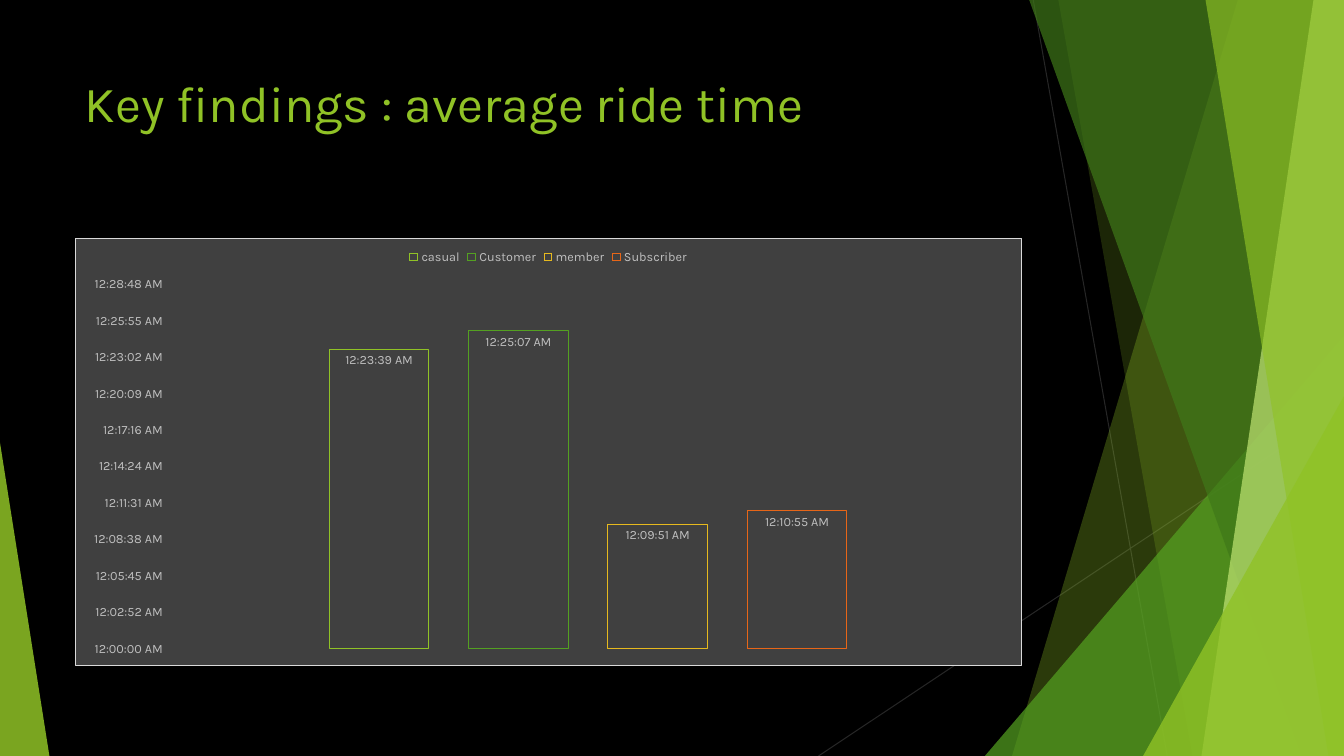
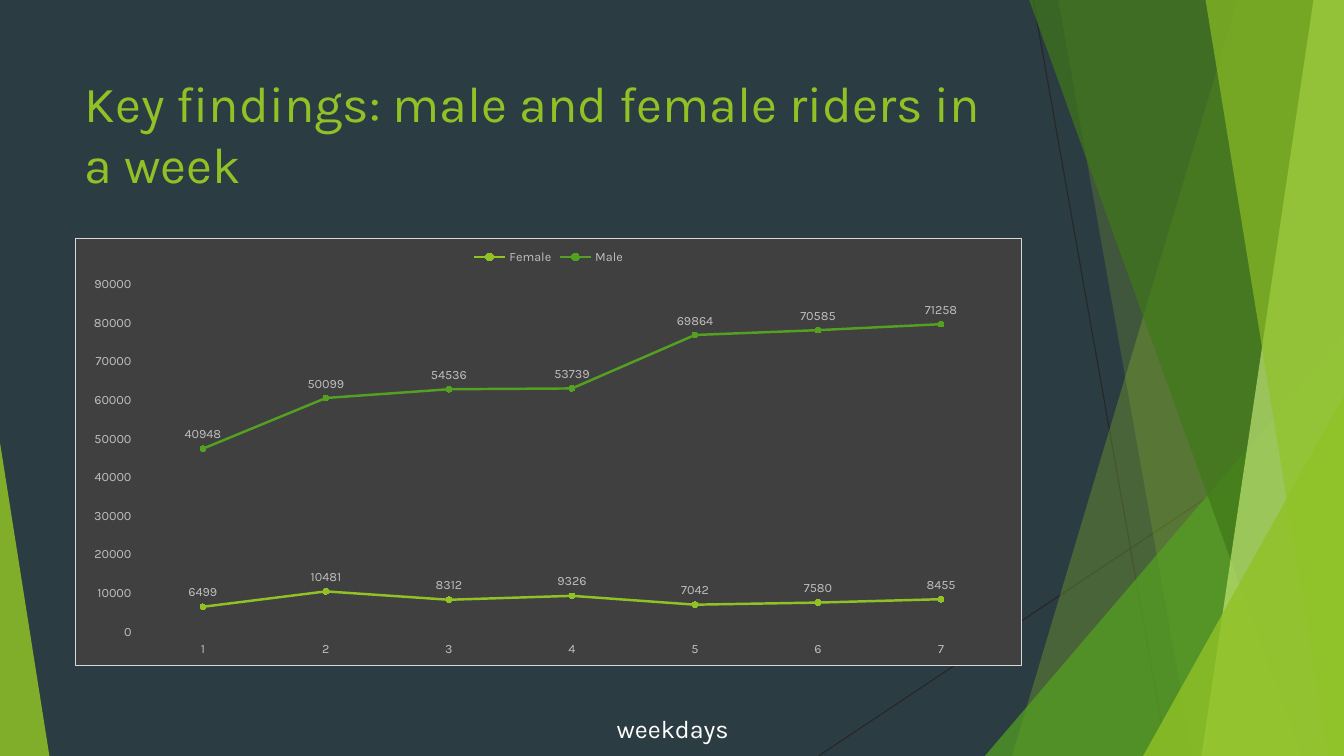
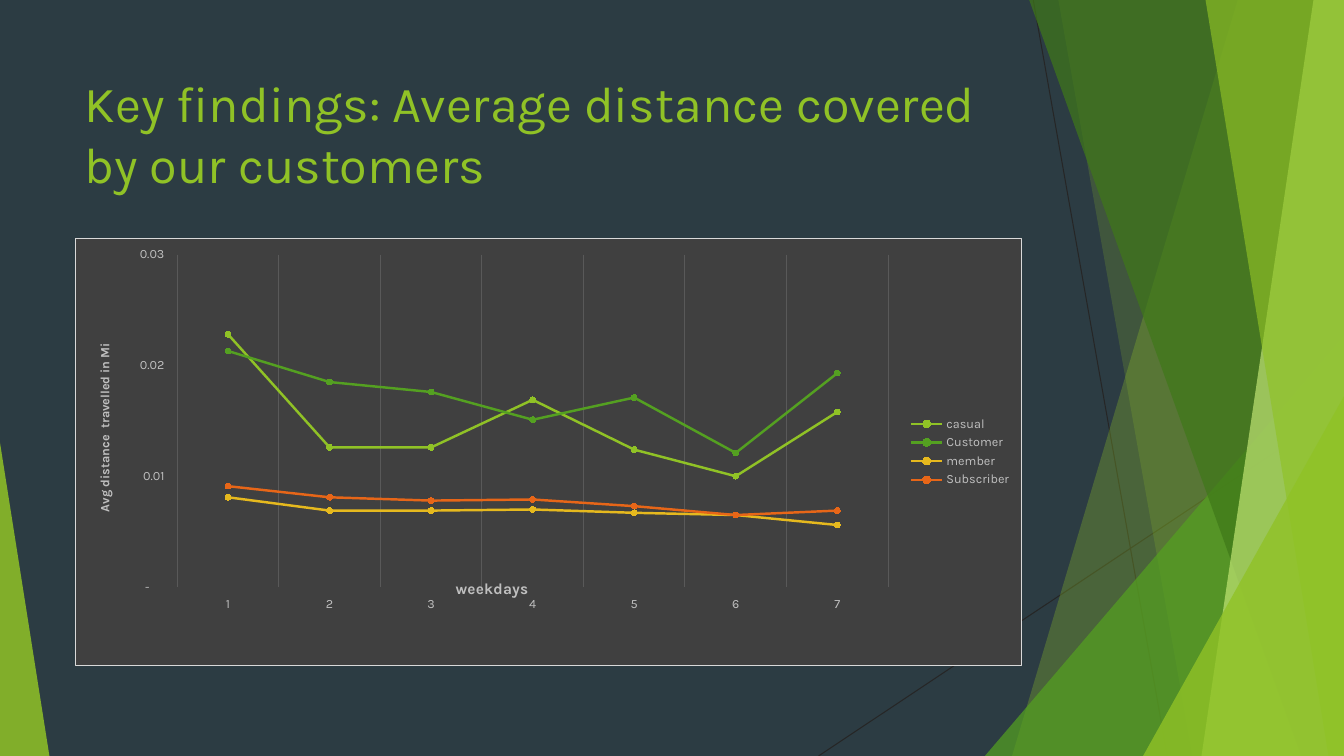
from lxml.etree import SubElement as Sub
from pptx import Presentation
from pptx.chart.data import CategoryChartData as Data
from pptx.dml.color import RGBColor as Rgb
from pptx.enum.chart import XL_CHART_TYPE as Kind
from pptx.enum.chart import XL_LABEL_POSITION as Spot
from pptx.enum.chart import XL_LEGEND_POSITION as Side
from pptx.enum.chart import XL_MARKER_STYLE as Mark
from pptx.enum.chart import XL_TICK_MARK as Tick
from pptx.enum.shapes import MSO_CONNECTOR as Link
from pptx.enum.shapes import MSO_SHAPE as Form
from pptx.enum.text import MSO_ANCHOR as Anchor
from pptx.enum.text import MSO_AUTO_SIZE as Fit
from pptx.enum.text import PP_ALIGN as Align
from pptx.oxml import parse_xml as read
from pptx.oxml.ns import nsdecls, qn
from pptx.util import Inches, Pt

HUES = {
    "black": "000000", "slate": "2C3C43", "white": "FFFFFF",
    "lime": "90C226", "green": "54A021", "gold": "E6B91E", "rust": "E76618",
    "pale": "C0E474", "mint": "94DE61", "sand": "F0D578", "peach": "F1A374",
    "moss": "3F7819", "ink": "262626", "panel": "404040", "grid": "595959",
    "text": "BFBFBF", "edge": "D9D9D9",
}
LINES = ["lime", "green", "gold", "rust"]
DOTS = ["pale", "mint", "sand", "peach"]
FONT = "Karla"
CLOCK = r"[$-F400]h:mm:ss\ AM/PM"
MILES = r'_(* #,##0.00_);_(* \(#,##0.00\);_(* "-"??_);_(@_)'
FRAME = (5.55, 31.47, 70.5, 56.6)
DAYS = [str(day) for day in range(1, 8)]


def put(item, **vals):
    """Set each named value on an item."""
    for name, val in vals.items():
        setattr(item, name, val)


def rgb(hue):
    """Look up a colour by name."""
    return Rgb.from_string(HUES[hue])


def ink(font, size, hue, bold=False):
    """Style a font."""
    put(font, name=FONT, size=Pt(size), bold=bold)
    font.color.rgb = rgb(hue)


def paint(fill, hue):
    """Give a fill one solid colour."""
    fill.solid()
    fill.fore_color.rgb = rgb(hue)


def draw(line, hue, width=0.75):
    """Style an outline."""
    paint(line.fill, hue)
    line.width = Pt(width)


def pin(node, spot, inner=False):
    """Place a chart part by percent of the chart's size."""
    old = node.find(qn("c:layout"))
    if old is None:
        old = read(f"<c:layout {nsdecls('c')}/>")
        text = node.find(qn("c:tx"))
        if text is None:
            node.insert(0, old)
        else:
            text.addnext(old)
    box = Sub(old, qn("c:manualLayout"))
    if inner:
        Sub(box, qn("c:layoutTarget")).set("val", "inner")
    for key in "xy":
        Sub(box, qn(f"c:{key}Mode")).set("val", "edge")
    for key, val in zip("xywh", spot):
        Sub(box, qn(f"c:{key}")).set("val", f"{val / 100:.4f}")


class Deck:
    """Holds the shared style and the current slide; lengths are percents."""

    def __init__(self):
        """Start a wide deck."""
        self.prs = Presentation()
        put(self.prs, slide_width=Inches(13.333), slide_height=Inches(7.5))
        self.base = self.prs.slide_layouts[5]
        self.page = None

    def at(self, *vals):
        """Turn percents, across and down by turns, into lengths."""
        sizes = (self.prs.slide_width, self.prs.slide_height)
        return [round(sizes[i % 2] * val / 100) for i, val in enumerate(vals)]

    def open(self, title, back):
        """Add a slide with its title."""
        first = self.page is None
        self.page = self.prs.slides.add_slide(self.base)
        if first:
            self.art()
        paint(self.page.background.fill, back)
        head = self.page.shapes.title
        left, top, width, height = self.at(5.55, 8.93, 70.5, 19.2)
        put(head, left=left, top=top, width=width, height=height)
        frame = head.text_frame
        put(frame, text=title, vertical_anchor=Anchor.TOP, word_wrap=True,
            auto_size=Fit.NONE)
        frame.paragraphs[0].alignment = Align.LEFT
        ink(frame.paragraphs[0].runs[0].font, 36, "lime")

    def tint(self, shape, hue, alpha):
        """Fill a shape with a see-through colour."""
        shape.shadow.inherit = False
        paint(shape.fill, hue)
        shape.line.fill.background()
        color = shape.element.spPr.find(f"{qn('a:solidFill')}/{qn('a:srgbClr')}")
        Sub(color, qn("a:alpha")).set("val", str(alpha * 1000))

    def ray(self, group, *ends):
        """Draw a thin line."""
        line = group.shapes.add_connector(Link.STRAIGHT, *self.at(*ends))
        draw(line.line, "ink")
        Sub(line.element.spPr, qn("a:effectLst"))

    def band(self, group, top, foot, hue, alpha):
        """Draw a band from a slanted edge to the right side."""
        pts = [(top, 0), (100, 0), (100, 100), (foot, 100)]
        pen = group.shapes.build_freeform(*self.at(*pts[0]))
        pen.add_line_segments([self.at(*pt) for pt in pts[1:]])
        self.tint(pen.convert_to_shape(), hue, alpha)

    def wedge(self, group, left, top, width, tip, hue, alpha):
        """Draw a triangle that stands on the slide's foot."""
        box = self.at(left, top, width, 100 - top)
        shape = group.shapes.add_shape(Form.ISOSCELES_TRIANGLE, *box)
        shape.adjustments[0] = tip
        self.tint(shape, hue, alpha)

    def art(self):
        """Draw the facets once and hand them to the layout."""
        group = self.page.shapes.add_group_shape()
        self.ray(group, 76.88, 0, 86.85, 100)
        self.ray(group, 100, 53.73, 60.9, 100)
        self.band(group, 92.1, 75.3, "lime", 30)
        self.band(group, 78.75, 88.73, "lime", 20)
        self.wedge(group, 73.28, 44.4, 26.72, 1, "green", 72)
        self.band(group, 76.58, 96.83, "moss", 70)
        self.band(group, 97.73, 89.4, "pale", 70)
        self.band(group, 89.7, 98.85, "lime", 65)
        self.wedge(group, 85.05, 52.4, 14.95, 1, "lime", 80)
        self.wedge(group, 0, 58.53, 3.68, 0, "lime", 85)
        self.base.shapes.element.insert(2, group.element)

    def note(self, text, *box):
        """Add a line of free text."""
        frame = self.page.shapes.add_textbox(*self.at(*box)).text_frame
        put(frame, text=text, word_wrap=True, auto_size=Fit.SHAPE_TO_FIT_TEXT)
        ink(frame.paragraphs[0].runs[0].font, 18, "white")

    def chart(self, kind, cats, rows, area, top, step, form="General",
              side=Side.TOP):
        """Add a chart on the dark panel."""
        data = Data()
        data.categories = cats
        for name, vals in rows.items():
            data.add_series(name, vals)
        chart = self.page.shapes.add_chart(kind, *self.at(*FRAME), data).chart
        ink(chart.font, 10, "white")
        put(chart, has_title=False, has_legend=True)
        put(chart.legend, position=side, include_in_layout=False)
        ink(chart.legend.font, 9, "text")
        panel = read(
            f'<c:spPr {nsdecls("c", "a")}><a:solidFill><a:srgbClr '
            f'val="{HUES["panel"]}"/></a:solidFill><a:ln w="9525"><a:solidFill>'
            f'<a:srgbClr val="{HUES["edge"]}"/></a:solidFill></a:ln></c:spPr>')
        root = chart.element.find(qn("c:chart"))
        root.addnext(panel)
        pin(root.find(qn("c:plotArea")), area, inner=True)
        for axis in (chart.category_axis, chart.value_axis):
            put(axis, has_major_gridlines=False, major_tick_mark=Tick.OUTSIDE,
                minor_tick_mark=Tick.NONE)
            axis.format.line.fill.background()
            ink(axis.tick_labels.font, 9, "text")
        put(chart.value_axis, minimum_scale=0, maximum_scale=top,
            major_unit=step)
        put(chart.value_axis.tick_labels, number_format=form,
            number_format_is_linked=False)
        chart.plots[0].vary_by_categories = False
        return chart

    def label(self, row, spot, form="General"):
        """Show the values of a series."""
        tags = row.data_labels
        put(tags, show_value=True, position=spot, number_format=form,
            number_format_is_linked=False)
        ink(tags.font, 9, "text")

    def bars(self, *args, **opts):
        """Add a chart of outlined columns."""
        chart = self.chart(Kind.COLUMN_CLUSTERED, *args, form=CLOCK, **opts)
        put(chart.plots[0], gap_width=315, overlap=-40)
        chart.category_axis.visible = False
        for row, hue in zip(chart.series, LINES):
            row.format.fill.background()
            draw(row.format.line, hue)
            self.label(row, Spot.INSIDE_END, CLOCK)

    def trend(self, kind, *args, **opts):
        """Add a chart of lines with round marks."""
        chart = self.chart(kind, *args, **opts)
        for row, hue, dot in zip(chart.series, LINES, DOTS):
            row.smooth = False
            draw(row.format.line, hue, 1.75)
            put(row.marker, style=Mark.CIRCLE, size=4)
            paint(row.marker.format.fill, dot)
            row.marker.format.line.fill.background()
        return chart

    def name(self, axis, text, size, *spot):
        """Give an axis a placed title."""
        title = axis.axis_title
        title.text_frame.text = text
        run = title.text_frame.paragraphs[0].runs[0]
        ink(run.font, size, "text", bold=True)
        pin(title.element, spot)


deck = Deck()

deck.open("Key findings : average ride time", "black")
rides = {"casual": [0.016433], "Customer": [0.017452],
         "member": [0.006848], "Subscriber": [0.007588]}
deck.bars(["1"], rides, (10.3, 10.8, 87.8, 85.4), 0.02, 0.002)

deck.open("Key findings: male and female riders in a week", "slate")
riders = {"Female": [6499, 10481, 8312, 9326, 7042, 7580, 8455],
          "Male": [40948, 50099, 54536, 53739, 69864, 70585, 71258]}
week = deck.trend(Kind.LINE_MARKERS_STACKED, DAYS, riders,
                  (7, 10.8, 91, 81.4), 90000, 10000)
for sex in week.series:
    deck.label(sex, Spot.ABOVE)
deck.note("weekdays", 45.15, 93.73, 16.5, 5.33)

deck.open("Key findings: Average distance covered by our customers", "slate")
miles = {
    "casual": [0.0228, 0.0126, 0.0126, 0.0169, 0.0124, 0.01, 0.0158],
    "Customer": [0.0213, 0.0185, 0.0176, 0.0151, 0.0171, 0.0121, 0.0193],
    "member": [0.0081, 0.0069, 0.0069, 0.007, 0.0067, 0.0065, 0.0056],
    "Subscriber": [0.0091, 0.0081, 0.0078, 0.0079, 0.0073, 0.0065, 0.0069]}
trips = deck.trend(Kind.LINE_MARKERS, DAYS, miles, (10.8, 3.8, 75.1, 77.9),
                   0.03, 0.01, form=MILES, side=Side.RIGHT)
trips.category_axis.has_major_gridlines = True
draw(trips.category_axis.major_gridlines.format.line, "grid")
deck.name(trips.category_axis, "weekdays", 11, 39.9, 78.9)
deck.name(trips.value_axis, "Avg distance  travelled in Mi", 9, 2, 24)

deck.prs.save("out.pptx")
